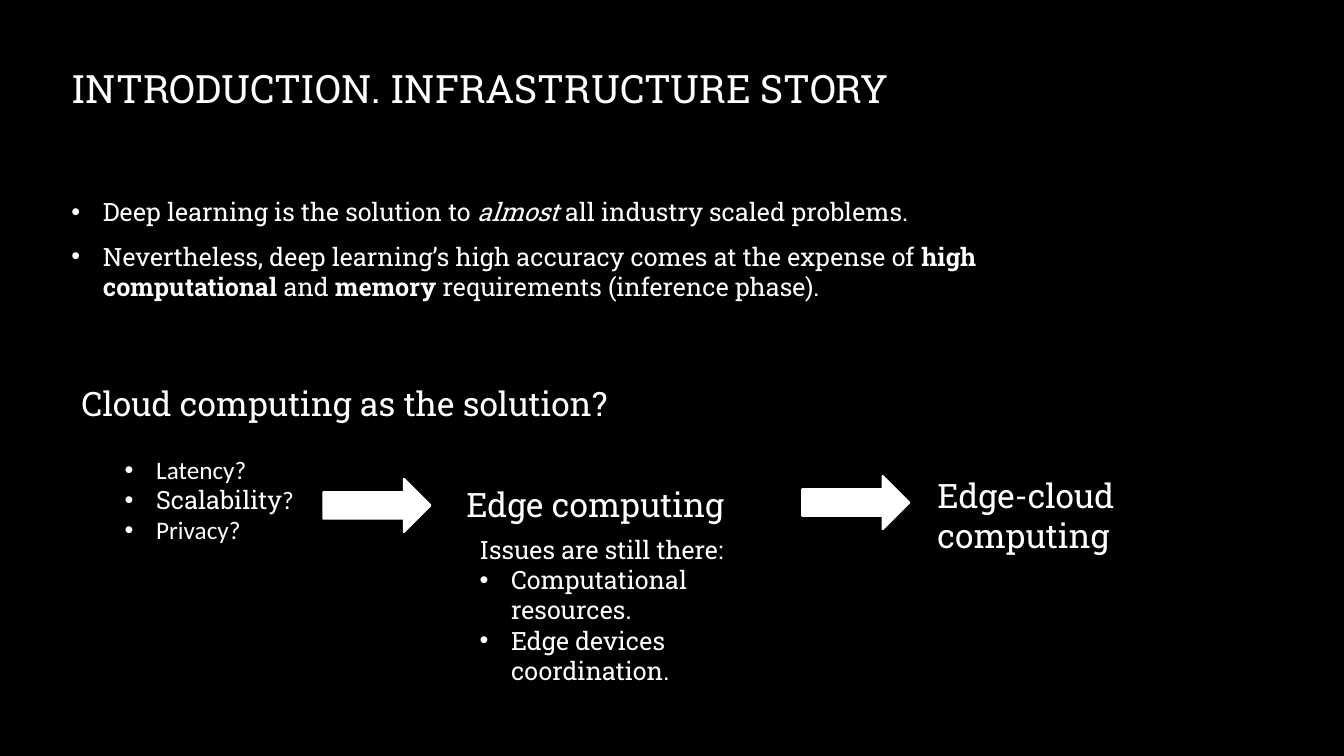
"""Build the infrastructure story slide on the way from cloud to edge-cloud computing."""
from lxml import etree
from pptx import Presentation
from pptx import util as u
from pptx.dml.color import RGBColor
from pptx.enum import shapes, text
from pptx.oxml.ns import qn

BLACK = RGBColor(0, 0, 0)
WHITE = RGBColor(255, 255, 255)
SLAB = "Roboto Slab"
SANS = "Calibri"
INDENT = u.Pt(22.5)


def add_bullet(paragraph):
    properties = paragraph._p.get_or_add_pPr()
    properties.set("marL", str(INDENT))
    properties.set("indent", str(-INDENT))
    bullet_font = etree.SubElement(properties, qn("a:buFont"))
    bullet_font.set("typeface", "Arial")
    etree.SubElement(properties, qn("a:buChar")).set("char", "•")


def add_text(left, top, width, height, size, paragraphs, font=SLAB, bulleted_from=None, space_after=0):
    box = slide.shapes.add_textbox(u.Pt(left), u.Pt(top), u.Pt(width), u.Pt(height))
    frame = box.text_frame
    frame.word_wrap = True
    for index, runs in enumerate(paragraphs):
        paragraph = frame.paragraphs[0] if index == 0 else frame.add_paragraph()
        paragraph.space_after = u.Pt(space_after)
        if bulleted_from is not None and index >= bulleted_from:
            add_bullet(paragraph)
        paragraph.font.name = font
        paragraph.font.size = u.Pt(size)
        paragraph.font.color.rgb = WHITE
        for words, style in runs:
            run = paragraph.add_run()
            run.text = words
            for attribute, value in style.items():
                setattr(run.font, attribute, value)
    return frame


presentation = Presentation()
presentation.slide_width = u.Pt(960)
presentation.slide_height = u.Pt(540)
slide = presentation.slides.add_slide(presentation.slide_layouts[6])
slide.background.fill.solid()
slide.background.fill.fore_color.rgb = BLACK

title = add_text(44, 29.5, 690, 67, 27.9, [[("INTRODUCTION. INFRASTRUCTURE STORY", {})]])
title.vertical_anchor = text.MSO_ANCHOR.MIDDLE

premises = [
    [
        ("Deep learning is the solution to ", {}),
        ("almost", {"italic": True}),
        (" all industry scaled problems.", {}),
    ],
    [
        ("Nevertheless, deep learning’s high accuracy comes at the expense of ", {}),
        ("high computational", {"bold": True}),
        (" and ", {}),
        ("memory", {"bold": True}),
        (" requirements (inference phase).", {}),
    ],
]
add_text(44, 137, 720, 132.5, 18, premises, bulleted_from=0, space_after=10)

headings = [
    (51, 270, 455, 36, "Cloud computing as the solution?"),
    (326, 342, 222, 36, "Edge computing"),
    (662.5, 335.5, 173.5, 65.5, "Edge-cloud computing"),
]
for left, top, width, height, words in headings:
    add_text(left, top, width, height, 24, [[(words, {})]])

cloud_doubts = [
    [("Latency?", {})],
    [("Scalability", {"name": SLAB}), ("?", {})],
    [("Privacy?", {})],
]
add_text(82, 321, 216, 94.5, 18, cloud_doubts, font=SANS, bulleted_from=0)

edge_issues = [
    [("Issues are still there:", {})],
    [("Computational resources.", {})],
    [("Edge devices coordination.", {})],
]
add_text(335.5, 378, 250, 116.5, 18, edge_issues, bulleted_from=1)

for left, top in [(231, 342), (573, 340)]:
    arrow = slide.shapes.add_shape(
        shapes.MSO_SHAPE.RIGHT_ARROW, u.Pt(left), u.Pt(top), u.Pt(76.5), u.Pt(38)
    )
    arrow.shadow.inherit = False
    arrow.fill.solid()
    arrow.fill.fore_color.rgb = WHITE
    arrow.line.color.rgb = WHITE
    arrow.line.width = u.Pt(1.5)

presentation.save("out.pptx")
